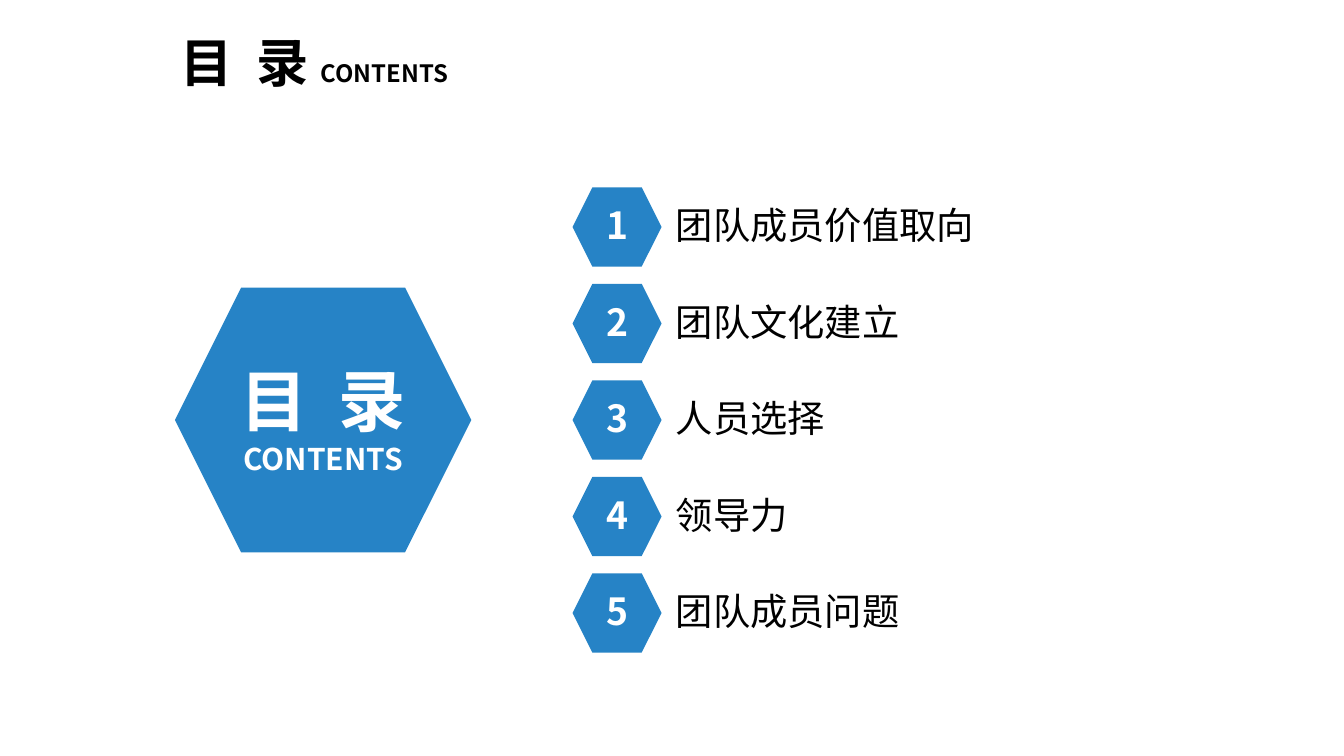
from pptx import Presentation
from pptx.dml.color import RGBColor
from pptx.enum.shapes import MSO_SHAPE as Shape
from pptx.enum.text import MSO_ANCHOR as Anchor, MSO_AUTO_SIZE as AutoSize, PP_ALIGN as Align
from pptx.oxml.ns import qn
from pptx.util import Pt

BLUE = RGBColor(0x26, 0x83, 0xC6)
BLACK = RGBColor(0, 0, 0)
WHITE = RGBColor(255, 255, 255)
FONT = "Noto Sans CJK SC"

TOPICS = ["团队成员价值取向", "团队文化建立", "人员选择", "领导力", "团队成员问题"]
ROW_PITCH = 72.7
LINE_HEIGHT = 33.7


def apply_format(target, **values):
    for name, value in values.items():
        setattr(target, name, value)


def place(shape, left, top, width, height):
    apply_format(shape, left=Pt(left), top=Pt(top), width=Pt(width), height=Pt(height))


def add_run(paragraph, text, size, color, bold=True):
    run = paragraph.add_run()
    run.text = text
    apply_format(run.font, name=FONT, size=Pt(size), bold=bold)
    run.font.color.rgb = color
    east_asian = run.font._element.makeelement(qn("a:ea"), {"typeface": FONT})
    run.font._element.find(qn("a:latin")).addnext(east_asian)


def fill_title(slide):
    title = slide.shapes.title
    place(title, 128.9, 19.4, 290.9, 54.7)
    apply_format(title.text_frame, auto_size=AutoSize.NONE, word_wrap=True,
                 vertical_anchor=Anchor.TOP)
    paragraph = title.text_frame.paragraphs[0]
    paragraph.alignment = Align.LEFT
    add_run(paragraph, "目  录 ", 39.4, BLACK)
    add_run(paragraph, "CONTENTS", 18, BLACK)


def fill_topics(slide):
    body = slide.placeholders[1]
    place(body, 501.8, 149, 370, 332)
    frame = body.text_frame
    apply_format(frame, auto_size=AutoSize.NONE, word_wrap=True, vertical_anchor=Anchor.TOP)
    for index, topic in enumerate(TOPICS):
        paragraph = frame.add_paragraph() if index else frame.paragraphs[0]
        apply_format(paragraph, alignment=Align.LEFT, line_spacing=Pt(LINE_HEIGHT),
                     space_before=Pt(0), space_after=Pt(ROW_PITCH - LINE_HEIGHT))
        properties = paragraph._p.get_or_add_pPr()
        properties.set("marL", "0")
        properties.set("indent", "0")
        properties.append(properties.makeelement(qn("a:buNone"), {}))
        add_run(paragraph, topic, 28.1, BLACK, bold=False)


def add_hexagon(slide, left, top, width, height, lines):
    """Add a blue hexagon with centred white lines, given as (text, size) pairs."""
    hexagon = slide.shapes.add_shape(
        Shape.HEXAGON, Pt(left), Pt(top), Pt(width), Pt(height))
    hexagon.shadow.inherit = False
    hexagon.fill.solid()
    hexagon.fill.fore_color.rgb = BLUE
    hexagon.line.fill.background()
    frame = hexagon.text_frame
    apply_format(frame, word_wrap=False, vertical_anchor=Anchor.MIDDLE, margin_left=0,
                 margin_right=0, margin_top=0, margin_bottom=Pt(3))
    for index, (text, size) in enumerate(lines):
        paragraph = frame.add_paragraph() if index else frame.paragraphs[0]
        paragraph.alignment = Align.CENTER
        add_run(paragraph, text, size, WHITE)


def main():
    presentation = Presentation()
    apply_format(presentation, slide_width=Pt(1012.3), slide_height=Pt(569.5))
    slide = presentation.slides.add_slide(presentation.slide_layouts[1])
    fill_title(slide)
    add_hexagon(slide, 131.8, 216.7, 223.2, 199.4, [("目  录", 50.6), ("CONTENTS", 22.5)])
    for index in range(len(TOPICS)):
        add_hexagon(slide, 431.3, 141.1 + index * ROW_PITCH, 67, 59.8,
                    [(str(index + 1), 28.1)])
    fill_topics(slide)
    presentation.save("out.pptx")


if __name__ == "__main__":
    main()
